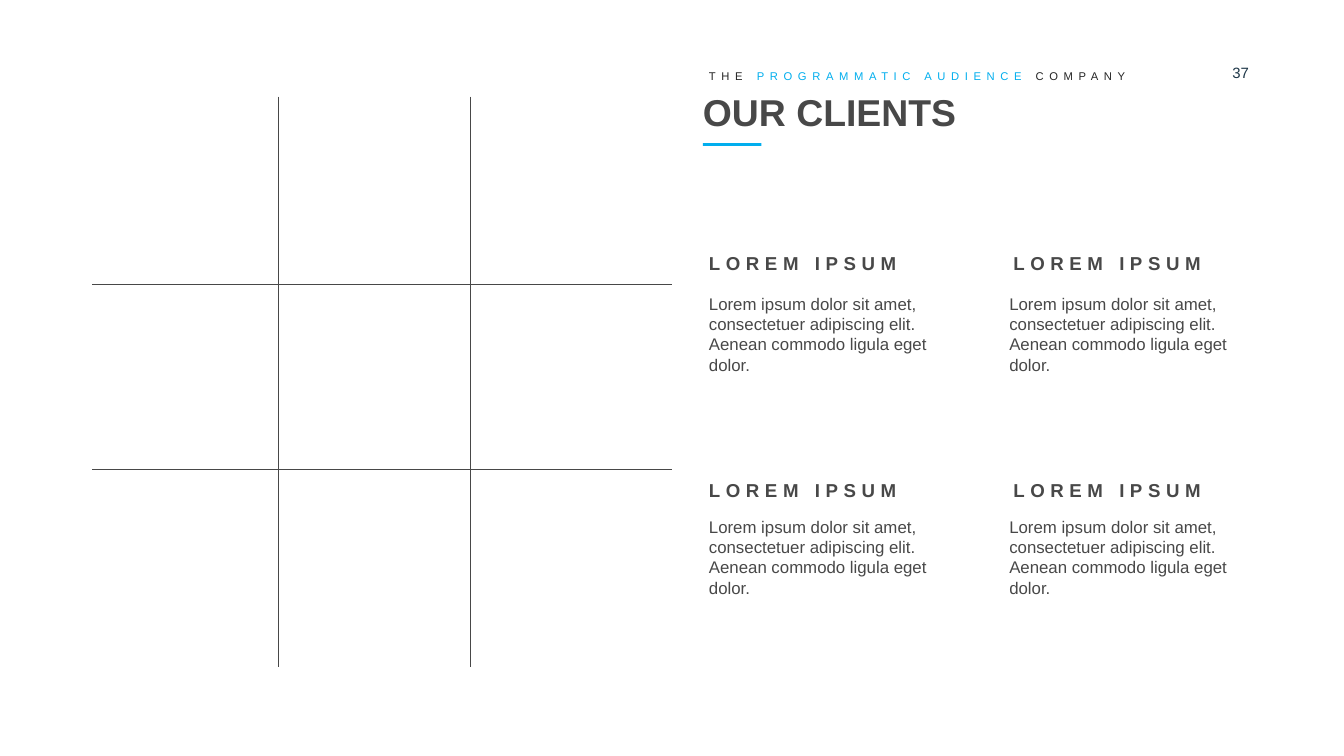
from dataclasses import dataclass

from pptx import Presentation
from pptx import util as u
from pptx.dml.color import RGBColor
from pptx.enum import shapes, text
from pptx.oxml.ns import qn
from lxml import etree

PX = 4572  # EMU per px, 200 px to the inch

BLUE = RGBColor(0x01, 0xAE, 0xEE)
GREY = RGBColor(0x48, 0x48, 0x48)
BLACK = RGBColor(0x24, 0x24, 0x24)
NAVY = RGBColor(0x1D, 0x36, 0x47)

HEADING = "LOREM IPSUM"
BODY = ("Lorem ipsum dolor sit amet, consectetuer adipiscing elit. "
        "Aenean commodo ligula eget dolor.")


@dataclass(frozen=True)
class Box:
    left: int
    top: int
    width: int
    height: int

    def emu(self) -> list[int]:
        return [px * PX for px in (self.left, self.top, self.width, self.height)]


@dataclass(frozen=True)
class Client:
    heading: Box
    body: Box


def write(shape, runs, *, size, color=GREY, bold=False, spacing=0,
          anchor=text.MSO_ANCHOR.TOP, wrap=True, grow=False) -> None:
    """Fill a shape with one paragraph; runs is a string or (string, colour) pairs."""
    frame = shape.text_frame
    frame.margin_left = frame.margin_right = frame.margin_top = frame.margin_bottom = 0
    frame.word_wrap = wrap
    frame.vertical_anchor = anchor
    frame.auto_size = (text.MSO_AUTO_SIZE.SHAPE_TO_FIT_TEXT if grow
                       else text.MSO_AUTO_SIZE.NONE)
    paragraph = frame.paragraphs[0]
    paragraph.alignment = text.PP_ALIGN.LEFT
    for words, run_color in [(runs, color)] if isinstance(runs, str) else runs:
        run = paragraph.add_run()
        run.text = words
        run.font.name = "Arial"
        run.font.size = u.Pt(size)
        run.font.bold = bold
        run.font.color.rgb = run_color
        if spacing:
            run._r.get_or_add_rPr().set("spc", str(spacing * 100))


def add_text(slide, box: Box, runs, **style) -> None:
    write(slide.shapes.add_textbox(*box.emu()), runs, **style)


def add_line(slide, x1: int, y1: int, x2: int, y2: int) -> None:
    line = slide.shapes.add_connector(
        shapes.MSO_CONNECTOR.STRAIGHT, x1 * PX, y1 * PX, x2 * PX, y2 * PX)
    line.line.color.rgb = GREY
    line.line.width = u.Pt(0.5)
    etree.SubElement(line._element.spPr, qn("a:effectLst"))


def add_client(slide, client: Client) -> None:
    add_text(slide, client.heading, HEADING, size=10, bold=True, spacing=3,
             wrap=False, grow=True)
    add_text(slide, client.body, BODY, size=9, grow=True)


def main() -> None:
    presentation = Presentation()
    presentation.slide_width = 2000 * PX
    presentation.slide_height = 1125 * PX
    slide = presentation.slides.add_slide(presentation.slide_layouts[5])

    # Title with its accent bar
    title = slide.shapes.title
    title.left, title.top, title.width, title.height = Box(1046, 129, 868, 74).emu()
    write(title, "OUR CLIENTS", size=20, bold=True, anchor=text.MSO_ANCHOR.MIDDLE)
    accent = slide.shapes.add_shape(
        shapes.MSO_SHAPE.RECTANGLE, *Box(1046, 213, 87, 4).emu())
    accent.shadow.inherit = False
    accent.fill.solid()
    accent.fill.fore_color.rgb = BLUE
    accent.line.fill.background()

    # Tagline and page number
    tagline = [("THE ", BLACK), ("PROGRAMMATIC AUDIENCE ", BLUE), ("COMPANY", BLACK)]
    add_text(slide, Box(1055, 103, 760, 20), tagline, size=6, spacing=3,
             anchor=text.MSO_ANCHOR.MIDDLE, grow=True)
    add_text(slide, Box(1834, 94, 86, 32), "37", size=8, color=NAVY)

    # Three by three grid for the clients
    for x in (414, 700):
        add_line(slide, x, 144, x, 992)
    for y in (424, 699):
        add_line(slide, 137, y, 1000, y)

    # Two by two descriptions
    for heading_top, body_top in ((375, 437), (713, 769)):
        for heading_left, body_left in ((1055, 1055), (1508, 1502)):
            add_client(slide, Client(Box(heading_left, heading_top, 290, 34),
                                     Box(body_left, body_top, 360, 122)))

    presentation.save("out.pptx")


if __name__ == "__main__":
    main()
